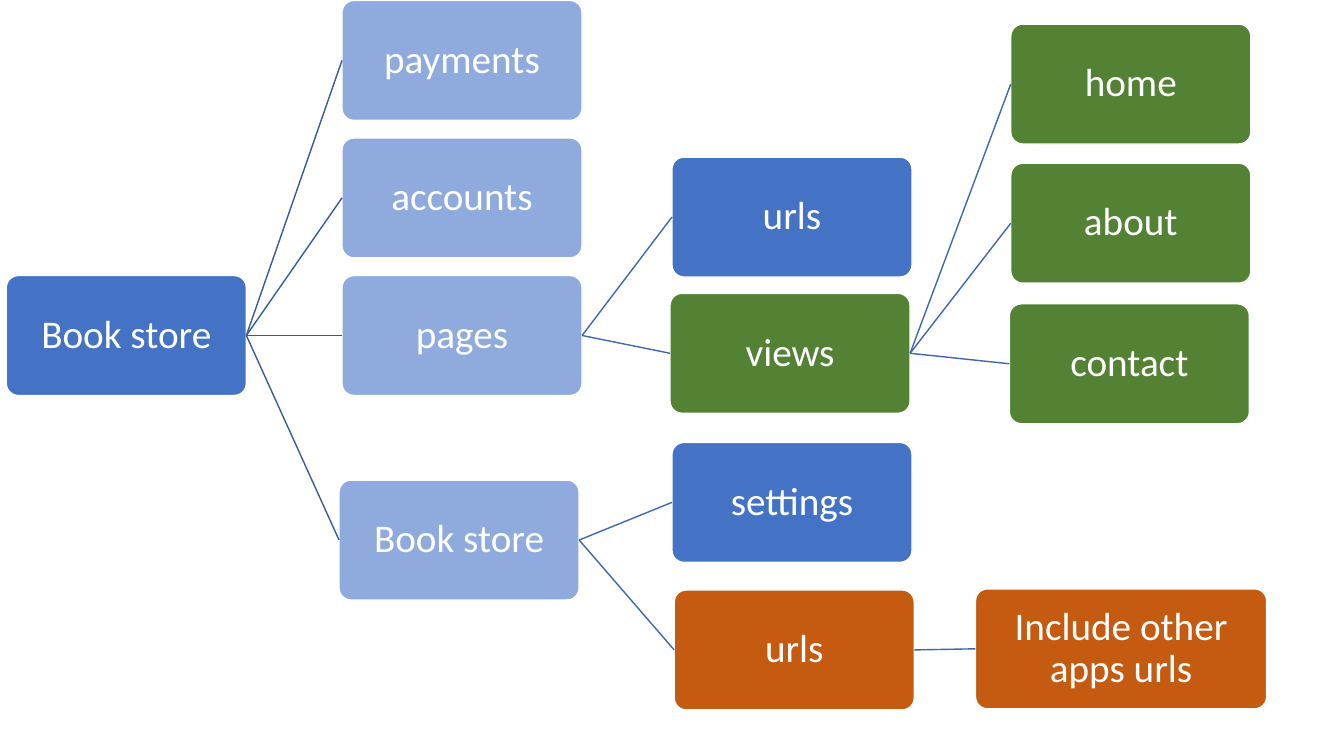
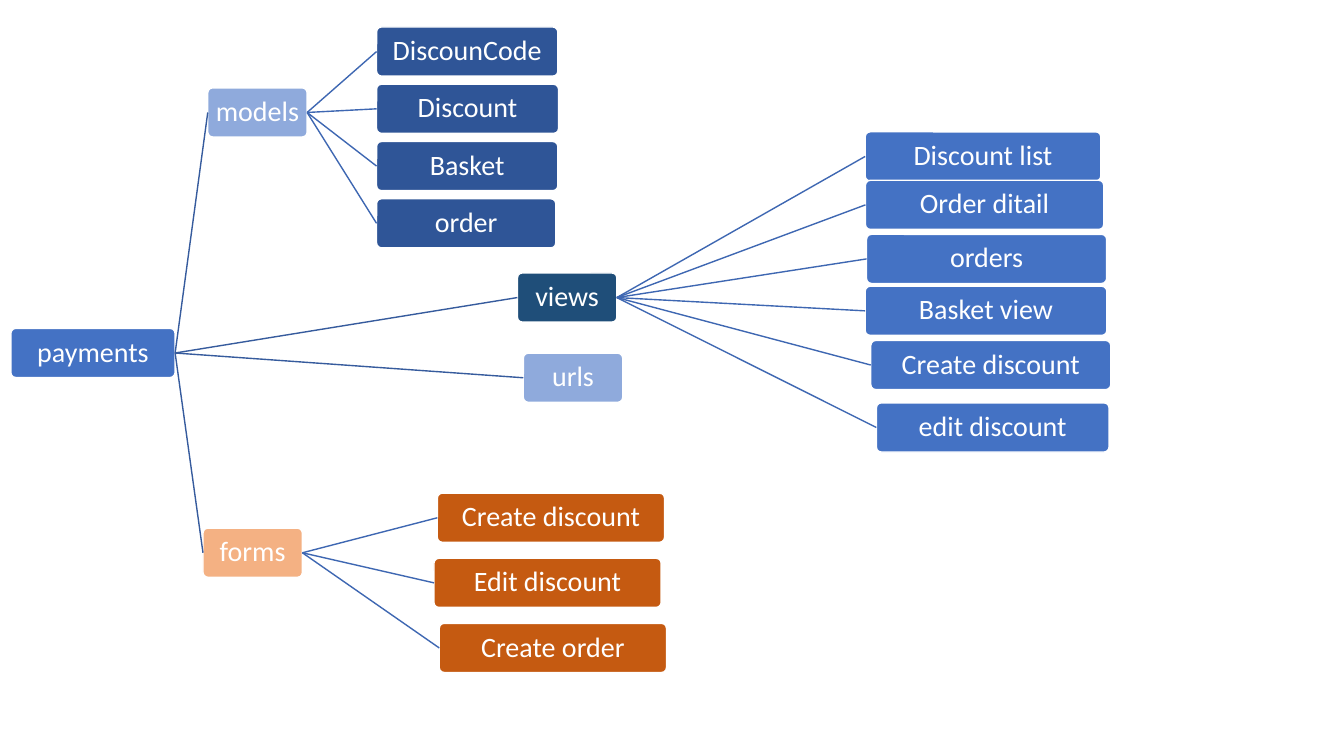
"""Build two tree diagrams of a book store project."""
from dataclasses import dataclass, field

from lxml.etree import SubElement
from pptx import Presentation
from pptx.dml.color import RGBColor
from pptx.enum.shapes import MSO_CONNECTOR, MSO_SHAPE
from pptx.enum.text import MSO_ANCHOR, PP_ALIGN
from pptx.oxml.ns import qn
from pptx.util import Pt

BLUE = RGBColor(0x44, 0x72, 0xC4)
LIGHT_BLUE = RGBColor(0x8F, 0xAA, 0xDC)
DARK_BLUE = RGBColor(0x2F, 0x55, 0x97)
NAVY = RGBColor(0x1F, 0x4E, 0x79)
GREEN = RGBColor(0x54, 0x82, 0x35)
ORANGE = RGBColor(0xC5, 0x5A, 0x11)
PEACH = RGBColor(0xF4, 0xB1, 0x83)
WHITE = RGBColor(0xFF, 0xFF, 0xFF)
ROOT_LINE = RGBColor(0x36, 0x5B, 0x9D)
BRANCH_LINE = RGBColor(0x3E, 0x67, 0xB2)

FONT = "Calibri"
LEFT_SITE, RIGHT_SITE = 1, 3


@dataclass
class TreeStyle:
    width: float
    height: float
    font_size: float
    inset: float


@dataclass
class Node:
    text: str
    left: float
    top: float
    fill: RGBColor
    width: float = None
    children: list = field(default_factory=list)


LARGE = TreeStyle(width=171.5, height=85.7, font_size=28, inset=1.4)
SMALL = TreeStyle(width=71, height=35.1, font_size=20, inset=0.9)

PROJECT_TREE = Node("Book store", 4.5, 196.8, BLUE, children=[
    Node("payments", 244.3, 0.3, LIGHT_BLUE),
    Node("accounts", 244.3, 98.5, LIGHT_BLUE),
    Node("pages", 244.3, 196.8, LIGHT_BLUE, children=[
        Node("urls", 480, 112.2, BLUE),
        Node("views", 478.6, 209.5, GREEN, children=[
            Node("home", 722, 17.2, GREEN),
            Node("about", 722, 116.6, GREEN),
            Node("contact", 721, 217, GREEN),
        ]),
    ]),
    Node("Book store", 242.2, 342.9, LIGHT_BLUE, children=[
        Node("settings", 480, 316, BLUE),
        Node("urls", 481.6, 421.4, ORANGE, children=[
            Node("Include other apps urls", 696.8, 420.6, ORANGE, 208),
        ]),
    ]),
])

PAYMENTS_TREE = Node("payments", 7.8, 234.6, BLUE, 117.3, [
    Node("models", 148.4, 62.8, LIGHT_BLUE, children=[
        Node(text, 269, 19.3 + 40.9 * row, DARK_BLUE, width)
        for row, (text, width) in enumerate([
            ("DiscounCode", 129.5), ("Discount", 130),
            ("Basket", 129.5), ("order", 128)])
    ]),
    Node("views", 369.6, 195, NAVY, children=[
        Node("Discount list", 618, 94.2, BLUE, 168.3),
        Node("Order ditail", 618.2, 128.8, BLUE, 170.2),
        Node("orders", 619, 167.4, BLUE, 171.5),
        Node("Basket view", 618, 204.5, BLUE, 172.6),
        Node("Create discount", 622, 243.2, BLUE, 171.4),
        Node("edit discount", 626, 287.8, BLUE, 166.2),
    ]),
    Node("urls", 373.8, 252.3, LIGHT_BLUE),
    Node("forms", 145, 377.3, PEACH, children=[
        Node(text, left, 352.3 + 46.5 * row, ORANGE, 162.3)
        for row, (text, left) in enumerate([
            ("Create discount", 312.4), ("Edit discount", 310),
            ("Create order", 313.8)])
    ]),
])


def write_text(shape, text, *, size, inset, color=WHITE):
    """Put one centred paragraph in the shape."""
    frame = shape.text_frame
    frame.word_wrap = True
    frame.vertical_anchor = MSO_ANCHOR.MIDDLE
    frame.margin_left = frame.margin_right = Pt(inset)
    frame.margin_top = frame.margin_bottom = Pt(inset)
    paragraph = frame.paragraphs[0]
    paragraph.alignment = PP_ALIGN.CENTER
    paragraph.line_spacing = 0.9
    run = paragraph.add_run()
    run.text = text
    run.font.name = FONT
    run.font.size = Pt(size)
    run.font.color.rgb = color


def add_box(slide, node, style):
    """Add the rounded box of a node."""
    shape = slide.shapes.add_shape(
        MSO_SHAPE.ROUNDED_RECTANGLE, Pt(node.left), Pt(node.top),
        Pt(node.width or style.width), Pt(style.height))
    shape.adjustments[0] = 0.1
    shape.shadow.inherit = False
    shape.fill.solid()
    shape.fill.fore_color.rgb = node.fill
    shape.line.color.rgb = WHITE
    shape.line.width = Pt(1)
    write_text(shape, node.text, size=style.font_size, inset=style.inset)
    return shape


def add_branch(slide, parent_box, child_box, color):
    """Join the right side of the parent to the left side of the child."""
    connector = slide.shapes.add_connector(MSO_CONNECTOR.STRAIGHT, 0, 0, 0, 0)
    connector.begin_connect(parent_box, RIGHT_SITE)
    connector.end_connect(child_box, LEFT_SITE)
    connector.line.color.rgb = color
    connector.line.width = Pt(1)
    SubElement(connector._element.spPr, qn("a:effectLst"))


def add_tree(slide, node, style, line_color=ROOT_LINE):
    """Draw a node and everything below it, and return its box."""
    box = add_box(slide, node, style)
    for child in node.children:
        child_box = add_tree(slide, child, style, BRANCH_LINE)
        add_branch(slide, box, child_box, line_color)
    return box


def main():
    """Build and save the presentation."""
    presentation = Presentation()
    presentation.slide_width = Pt(960)
    presentation.slide_height = Pt(540)
    blank_layout = presentation.slide_layouts[6]
    for tree, style in ((PROJECT_TREE, LARGE), (PAYMENTS_TREE, SMALL)):
        add_tree(presentation.slides.add_slide(blank_layout), tree, style)
    presentation.save("out.pptx")


if __name__ == "__main__":
    main()
